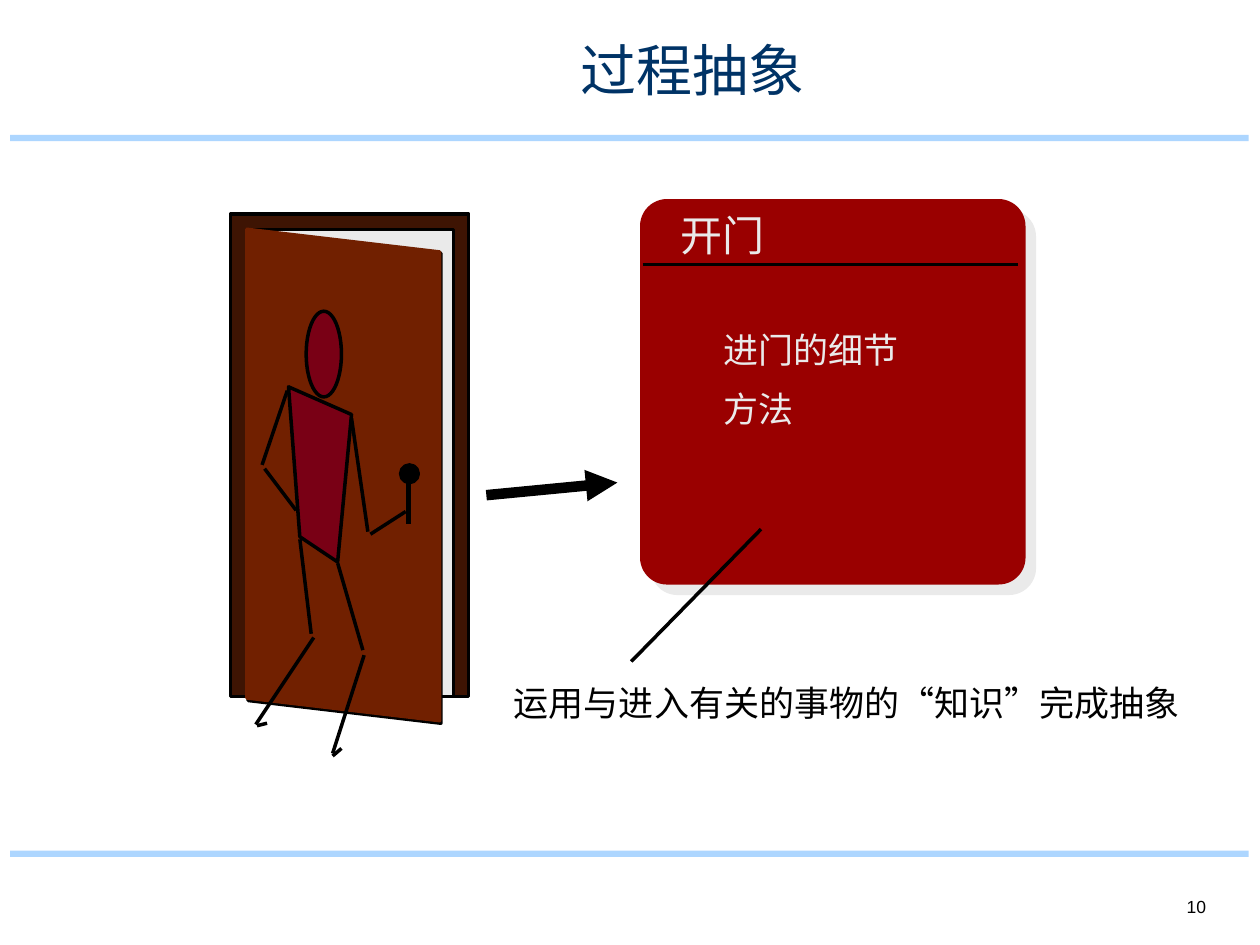
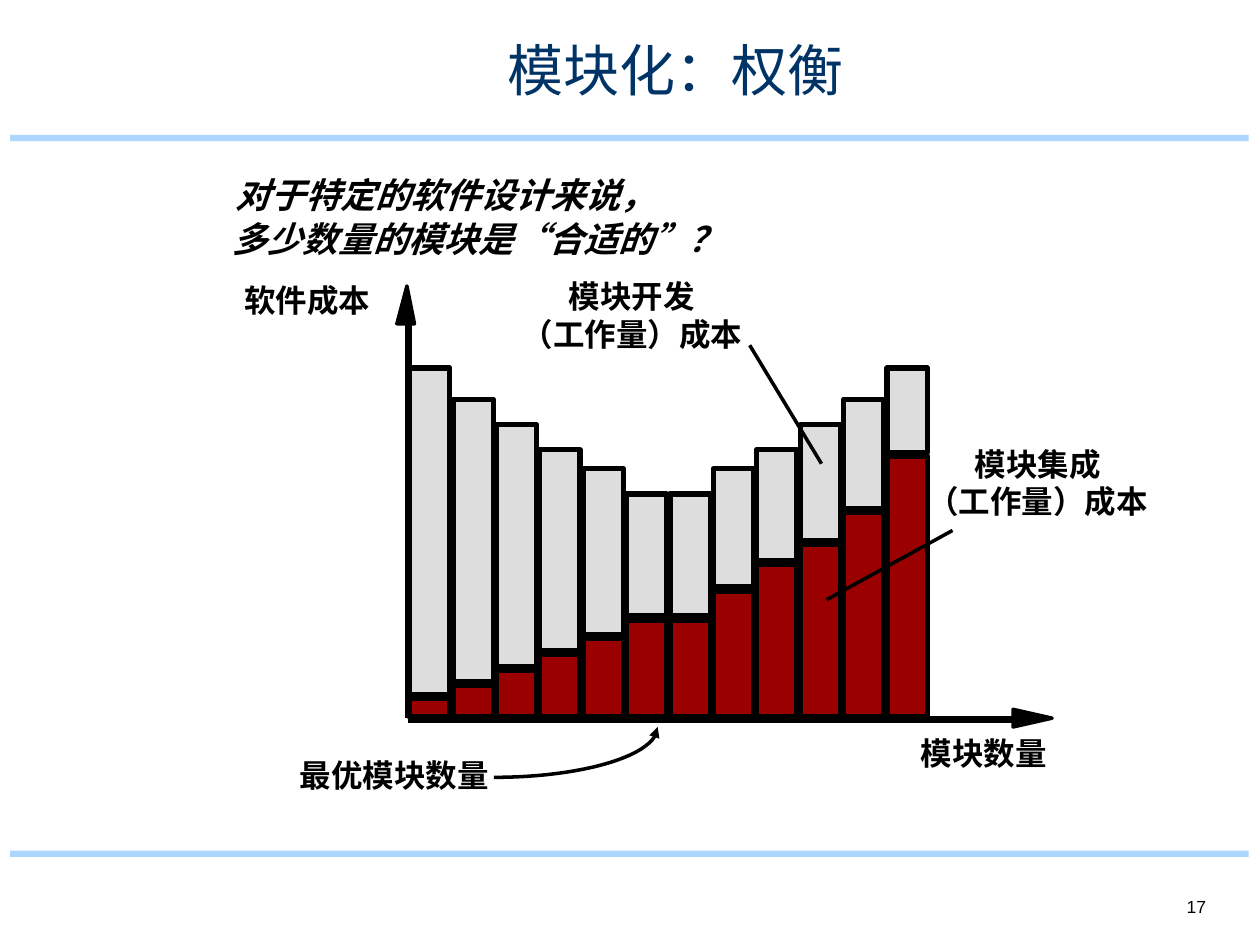
from math import cos, pi, sin
from lxml import etree
from pptx import Presentation
from pptx.dml.color import RGBColor
from pptx.enum.shapes import MSO_CONNECTOR, MSO_SHAPE
from pptx.enum.text import MSO_ANCHOR, PP_ALIGN
from pptx.oxml.ns import qn
from pptx.util import Inches, Pt

RECT, ROUND, OVAL = MSO_SHAPE.RECTANGLE, MSO_SHAPE.ROUNDED_RECTANGLE, MSO_SHAPE.OVAL
STRAIGHT = MSO_CONNECTOR.STRAIGHT
LEFT, CENTER, RIGHT = PP_ALIGN.LEFT, PP_ALIGN.CENTER, PP_ALIGN.RIGHT
TOP, BOTTOM = MSO_ANCHOR.TOP, MSO_ANCHOR.BOTTOM
BLACK, NAVY, BAND, PALE = "000000", "003366", "ADD6FF", "EAEAEA"
RED, GREY, FRAME, DOOR, BODY = "9A0000", "DDDDDD", "3E1403", "712000", "790015"


def paint(shape, fill, line, width=2):
    if fill:
        shape.fill.solid()
        shape.fill.fore_color.rgb = RGBColor.from_string(fill)
    elif hasattr(shape, "fill"):
        shape.fill.background()
    if line:
        shape.line.color.rgb = RGBColor.from_string(line)
        shape.line.width = Pt(width)
    else:
        shape.line.fill.background()
    return etree.SubElement(shape.element.spPr, qn("a:effectLst"))


def write(tf, text, size, color, align=LEFT, bold=False, italic=False):
    tf.text = text
    for p in tf.paragraphs:
        p.alignment = align
        p.font.name = "Arial"
        p.font.size = Pt(size)
        p.font.bold = bold
        p.font.italic = italic
        p.font.color.rgb = RGBColor.from_string(color)


prs = Presentation()
prs.slide_width, prs.slide_height = Inches(10), Inches(7.5)
layout = prs.slide_layouts[5]

slides = []
for title, left, width, number in [("过程抽象", 3.42, 4.16, "10"),
                                   ("模块化：权衡", 3.95, 2.83, "17")]:
    s = prs.slides.add_slide(layout)
    slides.append(s)
    t = s.shapes.title
    t.left, t.top, t.width, t.height = map(Inches, (left, 0.25, width, 0.6))
    tf = t.text_frame
    tf.margin_left = tf.margin_right = Inches(0.07)
    tf.margin_top = tf.margin_bottom = Inches(0.03)
    tf.word_wrap = False
    write(tf, title, 32, NAVY, CENTER)
    tf = s.shapes.add_textbox(*map(Inches, (8.25, 6.83, 1.42, 0.5))).text_frame
    tf.word_wrap = True
    tf.vertical_anchor = BOTTOM
    write(tf, number, 10, BLACK, RIGHT)
door_slide, cost_slide = slides

for top in (1.07, 6.75):
    band = door_slide.shapes.add_shape(RECT, *map(Inches, (0.08, top, 9.83, 0.05)))
    paint(band, BAND, None)
    layout.element.cSld.spTree.append(band.element)

for box, fill in [((1.83, 1.7, 1.89, 3.83), FRAME), ((1.96, 1.82, 1.64, 3.71), PALE)]:
    paint(door_slide.shapes.add_shape(RECT, *map(Inches, box)), fill, BLACK)

card = door_slide.shapes.add_shape(ROUND, *map(Inches, (5.08, 1.58, 3.06, 3.06)))
card.adjustments[0] = 0.07
effects = paint(card, RED, None)
shadow = etree.SubElement(effects, qn("a:outerShdw"), dist=str(Pt(8.5)),
                          dir="2700000", algn="ctr", rotWithShape="0")
etree.SubElement(shadow, qn("a:srgbClr"), val=PALE)

bar_tops = [2.92, 3.17, 3.37, 3.57, 3.72, 3.92]
bar_tops += bar_tops[::-1]
red_tops = [5.54, 5.44, 5.32, 5.19, 5.07, 4.92, 4.92, 4.69, 4.48, 4.32, 4.07, 3.62]
base, pitch = 5.69, 3.79 / 11
for i, (bar_top, red_top) in enumerate(zip(bar_tops, red_tops)):
    for top, bottom, fill in [(bar_top, red_top - 0.03, GREY), (red_top, base, RED)]:
        bar = cost_slide.shapes.add_shape(
            RECT, *map(Inches, (3.25 + i * pitch, top, 0.32, bottom - top)))
        paint(bar, fill, BLACK, 3)

steps = 24
angles = [pi / 2 * i / steps for i in range(steps + 1)]
curve = [(3.92 + 1.3 * cos(a), 5.77 + 0.4 * sin(a)) for a in angles]
outlines = [
    (door_slide, BLACK, BLACK, [(1.97, 1.83), (3.5, 2.01), (3.5, 5.74), (1.97, 5.56)]),
    (door_slide, DOOR, DOOR, [(1.96, 1.82), (3.49, 2), (3.49, 5.72), (1.96, 5.54)]),
    (door_slide, BODY, BLACK, [(2.29, 3.07), (2.79, 3.29), (2.68, 4.46), (2.38, 4.26)]),
    (cost_slide, BLACK, BLACK, [(8.35, 5.7), (8.04, 5.77), (8.04, 5.63)]),
    (cost_slide, BLACK, BLACK, [(3.23, 2.27), (3.29, 2.57), (3.15, 2.57)]),
    (cost_slide, None, BLACK, curve),
]
for s, fill, line, points in outlines:
    points = [(Inches(x), Inches(y)) for x, y in points]
    fb = s.shapes.build_freeform(*points[0])
    fb.add_line_segments(points[1:], close=fill is not None)
    shape = fb.convert_to_shape()
    paint(shape, fill, line)
    if fill is None:
        etree.SubElement(shape.line._get_or_add_ln(), qn("a:headEnd"), type="triangle")

for box, fill in [((3.18, 3.69, 0.14, 0.14), BLACK), ((2.43, 2.47, 0.28, 0.68), BODY)]:
    paint(door_slide.shapes.add_shape(OVAL, *map(Inches, box)), fill, BLACK)

lines = [
    (door_slide, 3, [(3.24, 3.82, 3.24, 4.16)]),
    (door_slide, 2, [
        (2.79, 3.32, 2.92, 4.22), (2.94, 4.24, 3.22, 4.06),
        (2.28, 3.1, 2.08, 3.69), (2.1, 3.72, 2.35, 4.05),
        (2.68, 4.47, 2.88, 5.16), (2.89, 5.2, 2.64, 5.98), (2.64, 6, 2.71, 5.94),
        (2.38, 4.28, 2.47, 5.03), (2.49, 5.06, 2.03, 5.75), (2.04, 5.76, 2.12, 5.74),
        (5.1, 2.1, 8.08, 2.1), (6.04, 4.2, 5.01, 5.25)]),
    (door_slide, 6, [(3.86, 3.93, 4.9, 3.83)]),
    (cost_slide, 4, [(3.24, 5.71, 8.03, 5.71), (3.24, 5.7, 3.24, 2.56)]),
    (cost_slide, 2, [(5.95, 2.74, 6.52, 3.68), (7.56, 4.21, 6.56, 4.76)]),
]
for s, width, ends in lines:
    for points in ends:
        line = s.shapes.add_connector(STRAIGHT, *map(Inches, points))
        paint(line, None, BLACK, width)
        if width == 6:
            etree.SubElement(line.line._get_or_add_ln(), qn("a:tailEnd"), type="triangle")

texts = [
    (door_slide, (5.3, 1.61, 0.87, 0.5), "开门", 24, PALE, LEFT, False, False),
    (door_slide, (5.64, 2.56, 1.6, 0.43), "进门的细节", 20, PALE, LEFT, False, False),
    (door_slide, (5.64, 3.03, 0.76, 0.43), "方法", 20, PALE, LEFT, False, False),
    (door_slide, (3.98, 5.36, 5.53, 0.43), "运用与进入有关的事物的“知识”完成抽象",
     20, BLACK, LEFT, False, False),
    (cost_slide, (1.77, 1.33, 3.57, 0.43), "对于特定的软件设计来说，",
     20, BLACK, LEFT, True, True),
    (cost_slide, (1.75, 1.68, 4.21, 0.43), "多少数量的模块是“合适的”？",
     20, BLACK, LEFT, True, True),
    (cost_slide, (1.84, 2.18, 1.21, 0.4), "软件成本", 18, BLACK, LEFT, True, False),
    (cost_slide, (7.21, 5.78, 1.21, 0.4), "模块数量", 18, BLACK, LEFT, True, False),
    (cost_slide, (2.28, 5.95, 1.72, 0.4), "最优模块数量", 18, BLACK, LEFT, True, False),
    (cost_slide, (4.03, 2.15, 1.97, 0.7), "模块开发\n（工作量）成本",
     18, BLACK, CENTER, True, False),
    (cost_slide, (7.25, 3.48, 1.97, 0.7), "模块集成\n（工作量）成本",
     18, BLACK, CENTER, True, False),
]
for s, box, *style in texts:
    tf = s.shapes.add_textbox(*map(Inches, box)).text_frame
    tf.word_wrap = False
    tf.vertical_anchor = TOP
    write(tf, *style)

prs.save("out.pptx")
